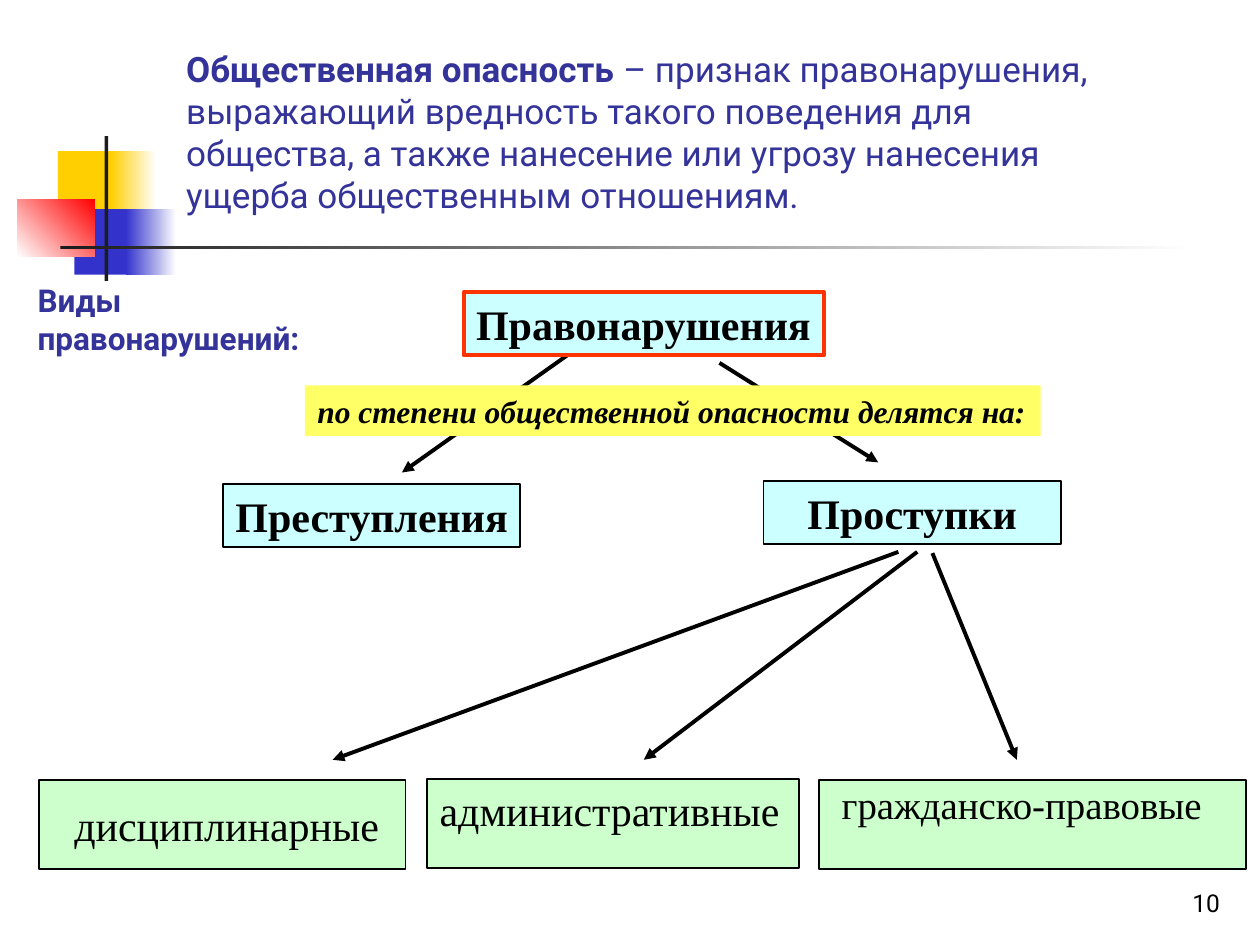
import pptx
import pptx.util
import pptx.dml.color
import pptx.enum.shapes
import pptx.enum.text
import pptx.oxml.ns
import lxml.etree

Inches = pptx.util.Inches
Pt = pptx.util.Pt
RGBColor = pptx.dml.color.RGBColor
ANCHOR = pptx.enum.text.MSO_ANCHOR
ALIGN = pptx.enum.text.PP_ALIGN

WHITE = RGBColor(0xFF, 0xFF, 0xFF)
BLACK = RGBColor(0x00, 0x00, 0x00)
CHARCOAL = RGBColor(0x1C, 0x1C, 0x1C)
GOLD = RGBColor(0xFF, 0xCF, 0x01)
BLUE = RGBColor(0x33, 0x33, 0xCC)
RED = RGBColor(0xFF, 0x00, 0x00)
ORANGE_RED = RGBColor(0xFF, 0x33, 0x00)
INDIGO = RGBColor(0x33, 0x33, 0x99)
CYAN = RGBColor(0xCC, 0xFF, 0xFF)
GREEN = RGBColor(0xCC, 0xFF, 0xCC)
YELLOW = RGBColor(0xFF, 0xFF, 0x66)

presentation = pptx.Presentation()
presentation.slide_width = Inches(10)
presentation.slide_height = Inches(7.5)
slide = presentation.slides.add_slide(presentation.slide_layouts[6])


def add_rectangle(box, fill, end_fill=None, angle=0):
    """Add a borderless rectangle, solid or fading from fill to end_fill."""
    shape = slide.shapes.add_shape(
        pptx.enum.shapes.MSO_SHAPE.RECTANGLE, *[Inches(length) for length in box])
    shape.shadow.inherit = False
    shape.line.fill.background()
    if end_fill is None:
        shape.fill.solid()
        shape.fill.fore_color.rgb = fill
    else:
        shape.fill.gradient()
        shape.fill.gradient_angle = angle
        for stop, color, position in zip(shape.fill.gradient_stops, (fill, end_fill), (0, 1)):
            stop.color.rgb = color
            stop.position = position
    return shape


def write_text(shape, runs, size, color=BLACK, font="Times New Roman", align=ALIGN.LEFT,
               anchor=ANCHOR.TOP, wrap=True, left_inset=0.1, line_spacing=None):
    """Fill a shape with one paragraph of (text, bold, italic) runs."""
    frame = shape.text_frame
    frame.word_wrap = wrap
    frame.vertical_anchor = anchor
    frame.margin_left = Inches(left_inset)
    frame.margin_right = Inches(0.1)
    frame.margin_top = frame.margin_bottom = Inches(0.05)
    paragraph = frame.paragraphs[0]
    paragraph.alignment = align
    paragraph.line_spacing = line_spacing
    for text, bold, italic in runs:
        run = paragraph.add_run()
        run.text = text
        run.font.name = font
        run.font.size = Pt(size)
        run.font.bold = bold
        run.font.italic = italic
        run.font.color.rgb = color


# Corner ornament and heading rule
for box, fill, end_fill, angle in [
    ((0.46, 1.2, 0.48, 0.52), GOLD, None, 0),
    ((0.88, 1.2, 0.36, 0.52), GOLD, WHITE, 0),
    ((0.59, 1.66, 0.46, 0.52), BLUE, None, 0),
    ((1, 1.66, 0.4, 0.52), BLUE, WHITE, 0),
    ((0.14, 1.58, 0.61, 0.46), WHITE, RED, 45),
    ((0.83, 1.08, 0.03, 1.15), CHARCOAL, None, 0),
    ((0.48, 1.95, 9, 0.03), CHARCOAL, WHITE, 0),
]:
    add_rectangle(box, fill, end_fill, angle)

# Arrows of the classification tree
for start, end in [
    ((5.71, 2.88), (6.97, 3.67)),
    ((4.53, 2.8), (3.19, 3.75)),
    ((7.13, 4.38), (2.64, 6.03)),
    ((7.28, 4.38), (5.11, 6.03)),
    ((7.4, 4.39), (8.07, 6.03)),
]:
    arrow = slide.shapes.add_connector(
        pptx.enum.shapes.MSO_CONNECTOR.STRAIGHT,
        *[Inches(length) for length in start + end])
    arrow.line.color.rgb = BLACK
    arrow.line.width = Pt(2.25)
    line = arrow.line._get_or_add_ln()
    lxml.etree.SubElement(line, pptx.oxml.ns.qn("a:tailEnd"), type="triangle")
    lxml.etree.SubElement(arrow._element.spPr, pptx.oxml.ns.qn("a:effectLst"))

# Boxes of the classification tree
LEVEL_TWO = {"align": ALIGN.CENTER}
for text, box, fill, border, width, size, bold, italic, layout in [
    ("по степени общественной опасности делятся на:", (2.42, 3.06, 5.84, 0.4),
     YELLOW, None, 0, 18, True, True, {"wrap": False}),
    ("Правонарушения", (3.68, 2.32, 2.86, 0.5),
     CYAN, ORANGE_RED, 2.25, 24, True, False, {"wrap": False}),
    ("Преступления", (1.77, 3.84, 2.36, 0.5),
     CYAN, BLACK, 1, 24, True, False, {"wrap": False, **LEVEL_TWO}),
    ("Проступки", (6.06, 3.82, 2.36, 0.5),
     CYAN, BLACK, 1, 24, True, False, LEVEL_TWO),
    ("дисциплинарные", (0.31, 6.19, 2.91, 0.71),
     GREEN, BLACK, 1, 24, False, False, {"anchor": ANCHOR.MIDDLE, "left_inset": 0.28}),
    ("административные", (3.39, 6.18, 2.95, 0.71),
     GREEN, BLACK, 1, 24, False, False, {}),
    ("гражданско-правовые", (6.5, 6.19, 3.39, 0.71),
     GREEN, BLACK, 1, 22.2, False, False, {"left_inset": 0.18, "line_spacing": 0.9}),
]:
    shape = add_rectangle(box, fill)
    if border is not None:
        shape.line.color.rgb = border
        shape.line.width = Pt(width)
    write_text(shape, [(text, bold, italic)], size, **layout)

# Definition, subheading and slide number
for box, runs, size, color, layout in [
    ((1.38, 0.33, 7.8, 1.77),
     [("Общественная опасность ", True, False),
      ("– признак правонарушения, выражающий вредность такого поведения для общества, "
       "а также нанесение или угрозу нанесения ущерба общественным отношениям.", False, False)],
     20, INDIGO, {}),
    ((0.2, 2.18, 2.6, 0.7), [("Виды правонарушений:", True, False)], 18, INDIGO, {}),
    ((7.7, 6.83, 2.08, 0.5), [("10", False, False)], 14, BLACK,
     {"align": ALIGN.RIGHT, "anchor": ANCHOR.BOTTOM}),
]:
    text_box = slide.shapes.add_textbox(*[Inches(length) for length in box])
    write_text(text_box, runs, size, color, "Roboto", **layout)

presentation.save("out.pptx")
